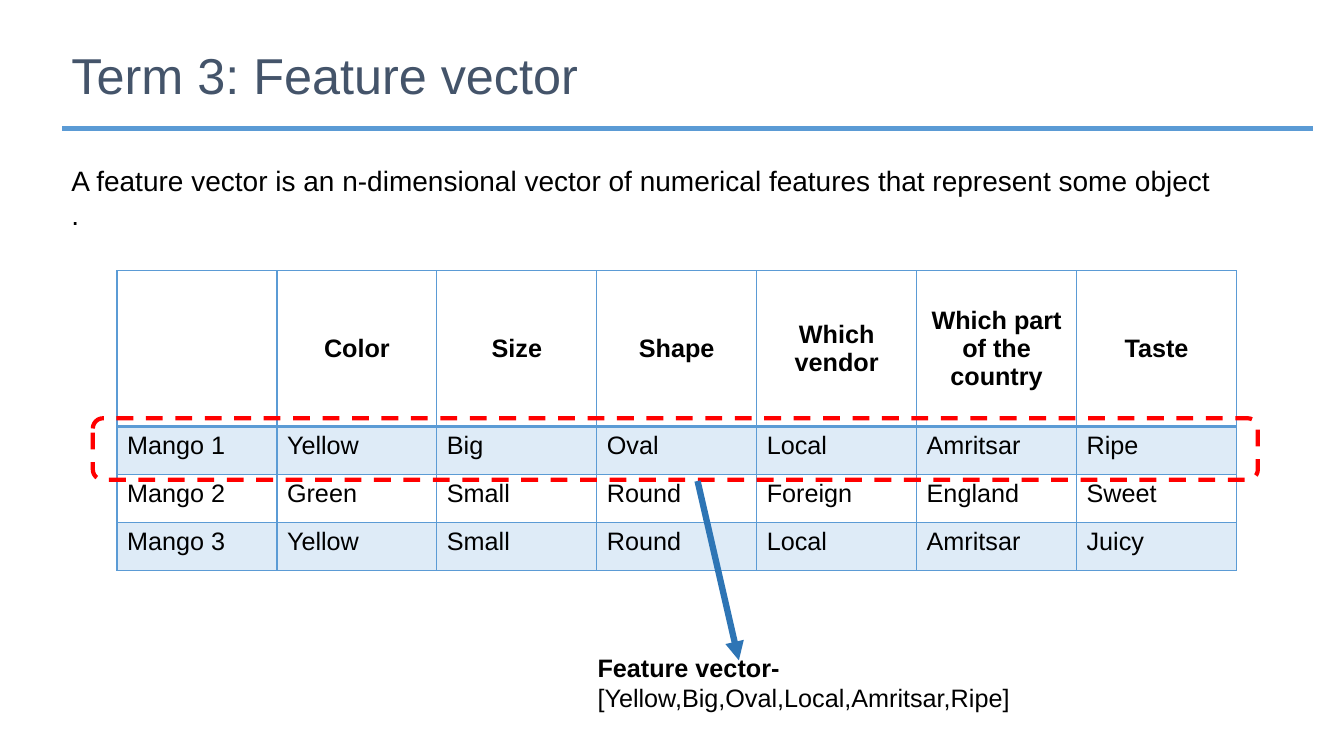
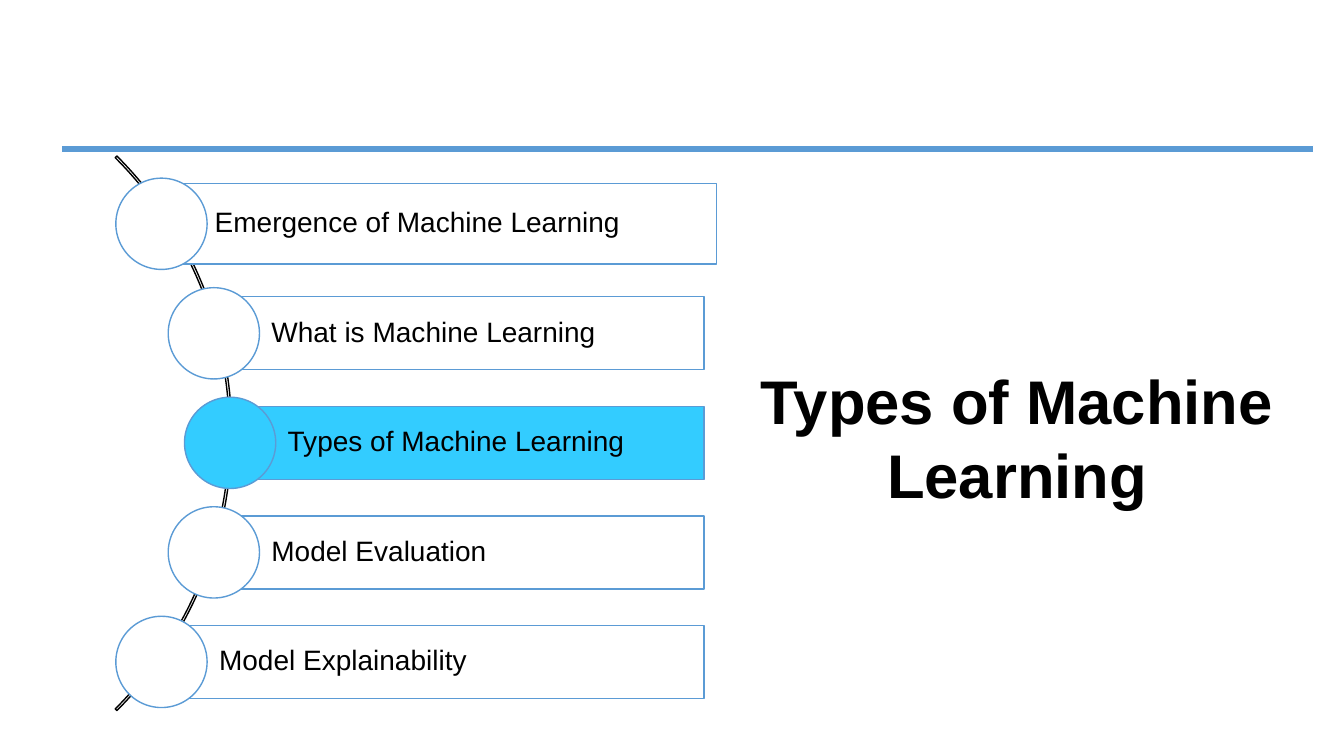
import dataclasses

import lxml.etree
import pptx
import pptx.dml.color
import pptx.enum.dml
import pptx.enum.shapes
import pptx.enum.text
import pptx.oxml
import pptx.oxml.ns
import pptx.util

Cm, Pt = pptx.util.Cm, pptx.util.Pt
RGB = pptx.dml.color.RGBColor.from_string
Shape = pptx.enum.shapes.MSO_SHAPE
Align = pptx.enum.text.PP_ALIGN
Anchor = pptx.enum.text.MSO_ANCHOR
qn = pptx.oxml.ns.qn


@dataclasses.dataclass(frozen=True)
class Theme:
    font: str = "Arial"
    black: str = "000000"
    white: str = "FFFFFF"
    heading: str = "44546A"
    blue: str = "5B9BD5"
    arrow: str = "2E75B5"
    band: str = "DEEBF7"
    current: str = "33CCFF"
    marker: str = "FF0000"
    title_size: int = 36
    section_size: int = 44
    body_size: int = 20
    table_size: int = 18


theme = Theme()


def write(frame, text, size=theme.body_size, color=theme.black, bold=False,
          align=Align.LEFT, spacing=1.0, before=0, anchor=None, same_para=False):
    """Append formatted text to a frame, in a new paragraph unless same_para."""
    frame.word_wrap = True
    if anchor is not None:
        frame.vertical_anchor = anchor
    para = frame.paragraphs[-1]
    if para.runs and not same_para:
        para = frame.add_paragraph()
    para.alignment, para.line_spacing, para.space_before = align, spacing, Pt(before)
    span = para.add_run()
    span.text = text
    span.font.name, span.font.size, span.font.bold = theme.font, Pt(size), bold
    span.font.color.rgb = RGB(color)


def draw(page, kind, left, top, width, height, fill=None, line=theme.blue, weight=1):
    """Draw a preset shape, placed in centimetres."""
    shape = page.shapes.add_shape(kind, Cm(left), Cm(top), Cm(width), Cm(height))
    shape.shadow.inherit = False
    if fill:
        shape.fill.solid()
        shape.fill.fore_color.rgb = RGB(fill)
    else:
        shape.fill.background()
    shape.line.color.rgb = RGB(line)
    shape.line.width = Pt(weight)
    return shape


deck = pptx.Presentation()
deck.slide_width, deck.slide_height = Cm(33.87), Cm(19.05)

# Both pages, each with its blue rule
pages = []
for rule_top in (3.15, 3.66):
    page = deck.slides.add_slide(deck.slide_layouts[6])
    draw(page, Shape.RECTANGLE, 1.55, rule_top, 31.55, 0.18, theme.blue, theme.white)
    pages.append(page)
vector_page, types_page = pages

# Feature vector: title and definition
title = vector_page.shapes.add_textbox(Cm(1.55), Cm(0.76), Cm(27.94), Cm(2.4))
write(title.text_frame, "Term 3: Feature vector", size=theme.title_size,
      color=theme.heading, spacing=0.9, anchor=Anchor.MIDDLE)
definition = vector_page.shapes.add_textbox(Cm(1.55), Cm(4.09), Cm(30.99), Cm(1.93))
write(definition.text_frame, "A feature vector is an n-dimensional vector of numerical "
      "features that represent some object", spacing=0.9)
write(definition.text_frame, ".", spacing=0.9, before=3)

# Feature vector: table
mangoes = [
    ["", "Color", "Size", "Shape", "Which vendor", "Which part of the country", "Taste"],
    ["Mango 1", "Yellow", "Big", "Oval", "Local", "Amritsar", "Ripe"],
    ["Mango 2", "Green", "Small", "Round", "Foreign", "England", "Sweet"],
    ["Mango 3", "Yellow", "Small", "Round", "Local", "Amritsar", "Juicy"],
]
column_width, header_height, row_height = 4.03, 3.93, 1.21
table = vector_page.shapes.add_table(
    4, 7, Cm(2.95), Cm(6.82), Cm(7 * column_width),
    Cm(header_height + 3 * row_height)).table
table.first_row = table.horz_banding = False
for column in table.columns:
    column.width = Cm(column_width)
for r, values in enumerate(mangoes):
    header = r == 0
    table.rows[r].height = Cm(header_height if header else row_height)
    for c, value in enumerate(values):
        cell = table.cell(r, c)
        cell.vertical_anchor = Anchor.MIDDLE if header else Anchor.TOP
        if value:
            write(cell.text_frame, value, size=theme.table_size, bold=header,
                  align=Align.CENTER if header else Align.LEFT)
        if r % 2:
            cell.fill.solid()
            cell.fill.fore_color.rgb = RGB(theme.band)
        else:
            cell.fill.background()
        properties = cell._tc.get_or_add_tcPr()
        for position, side in enumerate("LRTB"):
            thick = (r, side) in ((0, "B"), (1, "T"))
            border = pptx.oxml.parse_xml(
                f'<a:ln{side} xmlns:a="http://schemas.openxmlformats.org/drawingml/2006/main"'
                f' w="{Pt(2 if thick else 1)}"><a:solidFill><a:srgbClr val="{theme.blue}"/>'
                f'</a:solidFill></a:ln{side}>')
            properties.insert(position, border)

# Feature vector: marked row, arrow and result
marker = draw(vector_page, Shape.ROUNDED_RECTANGLE, 2.34, 10.54, 29.36, 1.55,
              line=theme.marker, weight=3)
marker.line.dash_style = pptx.enum.dml.MSO_LINE.DASH
arrow = vector_page.shapes.add_connector(
    pptx.enum.shapes.MSO_CONNECTOR.STRAIGHT, Cm(17.58), Cm(12.12), Cm(18.62), Cm(16.64))
arrow.line.color.rgb = RGB(theme.arrow)
arrow.line.width = Pt(4.5)
lxml.etree.SubElement(arrow.line._get_or_add_ln(), qn("a:tailEnd"), type="triangle")
lxml.etree.SubElement(arrow._element.spPr, qn("a:effectLst"))
result = vector_page.shapes.add_textbox(Cm(14.81), Cm(16.31), Cm(13.34), Cm(1.8))
write(result.text_frame, "Feature vector- ", size=theme.table_size, bold=True)
write(result.text_frame, "[Yellow,Big,Oval,Local,Amritsar,Ripe]",
      size=theme.table_size, same_para=True)

# Types: arc behind the agenda, from 315 to 45 degrees
arc = draw(types_page, Shape.BLOCK_ARC, -13.92, 1.04, 19.76, 19.76, line=theme.black)
arc.adjustments[0], arc.adjustments[1], arc.adjustments[2] = 189, 27, 0.003

# Types: agenda bars (circle left, bar left, bar right, bar height, inset)
agenda = [
    ("Emergence of Machine Learning", 2.92, 3.76, 18.06, 2.03, 1.65),
    ("What is Machine Learning", 4.24, 5.39, 17.74, 1.84, 1.45),
    ("Types of Machine Learning", 4.65, 5.8, 17.74, 1.84, 1.45),
    ("Model Evaluation", 4.24, 5.39, 17.74, 1.84, 1.45),
    ("Model Explainability", 2.92, 4.07, 17.74, 1.84, 1.45),
]
section = "Types of Machine Learning"
diameter, first_middle, step = 2.3, 5.64, 2.76
for i, (topic, circle_left, left, right, height, inset) in enumerate(agenda):
    middle = first_middle + i * step
    fill = theme.current if topic == section else theme.white
    bar = draw(types_page, Shape.RECTANGLE, left, middle - height / 2,
               right - left, height, fill)
    bar.text_frame.margin_left = Cm(inset)
    write(bar.text_frame, topic, spacing=0.9, anchor=Anchor.MIDDLE)
    draw(types_page, Shape.OVAL, circle_left, middle - diameter / 2,
         diameter, diameter, fill)

# Types: section heading
heading = types_page.shapes.add_textbox(Cm(17.42), Cm(9.02), Cm(16.43), Cm(4.01))
write(heading.text_frame, section, size=theme.section_size, bold=True, align=Align.CENTER)

deck.save("out.pptx")
